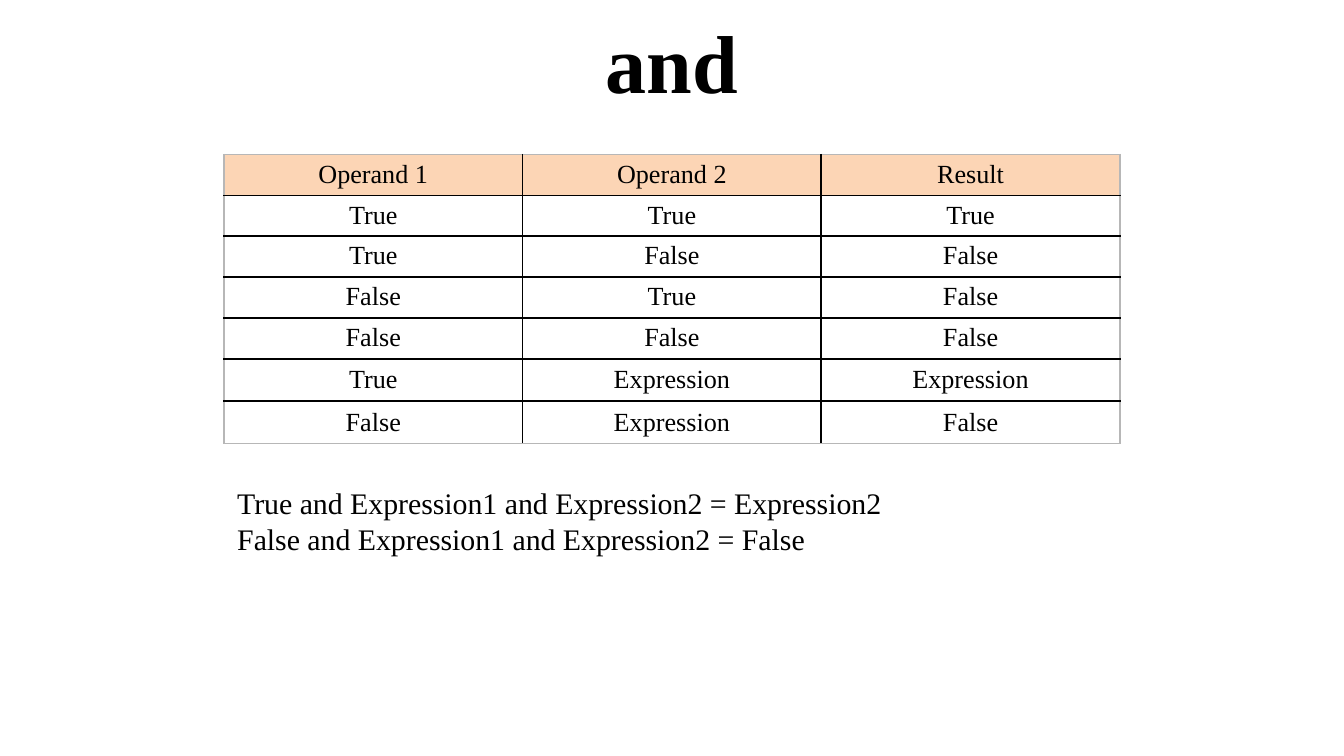
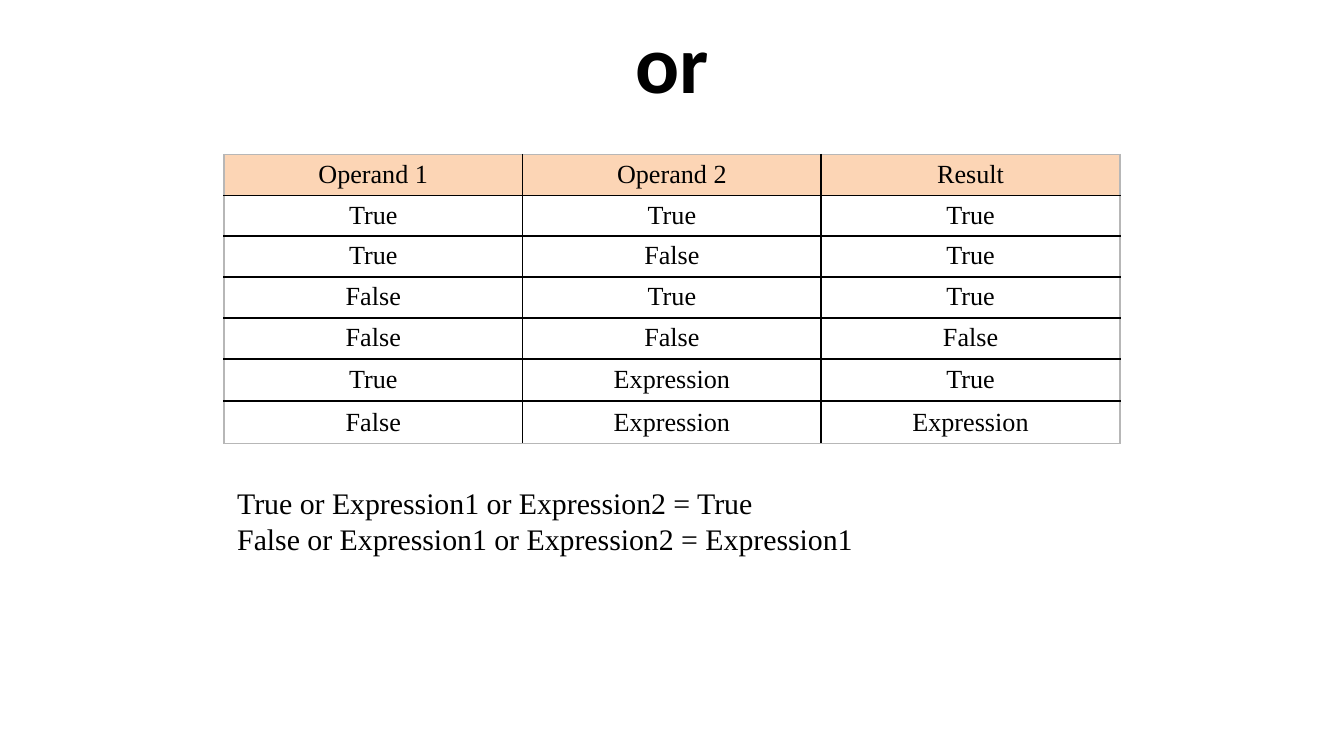
from dataclasses import dataclass

from lxml import etree
from pptx import Presentation
from pptx.dml.color import RGBColor
from pptx.enum.text import MSO_ANCHOR, MSO_AUTO_SIZE, PP_ALIGN
from pptx.oxml.ns import qn
from pptx.util import Inches, Pt

CENTER, LEFT = PP_ALIGN.CENTER, PP_ALIGN.LEFT
MIDDLE = MSO_ANCHOR.MIDDLE
GROW = MSO_AUTO_SIZE.SHAPE_TO_FIT_TEXT
TITLE_ONLY = 5


@dataclass(frozen=True)
class Theme:
    ink: str = "000000"
    frame: str = "B7B7B7"
    header: str = "FCD5B5"
    serif: str = "Times New Roman"
    sans: str = "Calibri"
    title_size: int = 44
    cell_size: int = 14
    rule_size: int = 16
    border: int = 1


@dataclass(frozen=True)
class Box:
    left: float
    top: float
    width: float
    height: float

    def emu(self):
        return [Inches(length) for length in (self.left, self.top, self.width, self.height)]


THEME = Theme()
WIDTH = 10
HEIGHT = WIDTH * 9 / 16
TITLE_BOX = Box(0.05 * WIDTH, -0.02, 0.9 * WIDTH, 0.94)
TABLE_BOX = Box(WIDTH / 6, 1.15, WIDTH * 2 / 3, 2.13)
RULES_BOX = Box(WIDTH / 6, 3.56, 5.58, 0.64)
TIGHT_MARGIN = 0.04
TIGHT_ROWS = 5

HEADINGS = ("Operand 1", "Operand 2", "Result")
OPERANDS = (
    ("True", "True"),
    ("True", "False"),
    ("False", "True"),
    ("False", "False"),
    ("True", "Expression"),
    ("False", "Expression"),
)
OPERATORS = (
    ("and", THEME.serif,
     ("True", "False", "False", "False", "Expression", "False"),
     ("True and Expression1 and Expression2 = Expression2",
      "False and Expression1 and Expression2 = False")),
    ("or", THEME.sans,
     ("True", "True", "True", "False", "True", "Expression"),
     ("True or Expression1 or Expression2 = True",
      "False or Expression1 or Expression2 = Expression1")),
)


def write(para, text, *, size, font=THEME.serif, bold=False, align=CENTER):
    para.alignment = align
    span = para.add_run()
    span.text = text
    span.font.name = font
    span.font.size = Pt(size)
    span.font.bold = bold
    span.font.color.rgb = RGBColor.from_string(THEME.ink)


def draw_borders(cell, outer_sides):
    """Rule the cell in ink, and in the frame colour on the table's outer sides."""
    properties = cell._tc.get_or_add_tcPr()
    for side in "LRTB":
        line = etree.SubElement(properties, qn(f"a:ln{side}"), w=str(Pt(THEME.border)))
        fill = etree.SubElement(line, qn("a:solidFill"))
        color = THEME.frame if side in outer_sides else THEME.ink
        etree.SubElement(fill, qn("a:srgbClr"), val=color)


def add_title(page, box, text, font):
    title = page.shapes.title
    title.left, title.top, title.width, title.height = box.emu()
    title.text_frame.vertical_anchor = MIDDLE
    write(title.text_frame.paragraphs[0], text,
          size=THEME.title_size, font=font, bold=True)


def add_truth_table(page, box, results):
    rows = [HEADINGS] + [(*pair, result) for pair, result in zip(OPERANDS, results)]
    table = page.shapes.add_table(len(rows), len(HEADINGS), *box.emu()).table
    table.first_row = table.horz_banding = False
    row_sides = {0: "T", len(rows) - 1: "B"}
    column_sides = {0: "L", len(HEADINGS) - 1: "R"}
    for row, texts in enumerate(rows):
        for column, text in enumerate(texts):
            cell = table.cell(row, column)
            draw_borders(cell, row_sides.get(row, "") + column_sides.get(column, ""))
            if row == 0:
                cell.fill.solid()
                cell.fill.fore_color.rgb = RGBColor.from_string(THEME.header)
            else:
                cell.fill.background()
            if row < TIGHT_ROWS:
                cell.margin_top = cell.margin_bottom = Inches(TIGHT_MARGIN)
            write(cell.text_frame.paragraphs[0], text, size=THEME.cell_size)


def add_rules(page, box, rules):
    """Place the chained expressions, one per paragraph."""
    frame = page.shapes.add_textbox(*box.emu()).text_frame
    frame.word_wrap = True
    frame.auto_size = GROW
    for number, rule in enumerate(rules):
        para = frame.add_paragraph() if number else frame.paragraphs[0]
        write(para, rule, size=THEME.rule_size, align=LEFT)


def add_operator_page(deck, operator, title_font, results, rules):
    page = deck.slides.add_slide(deck.slide_layouts[TITLE_ONLY])
    add_title(page, TITLE_BOX, operator, title_font)
    add_truth_table(page, TABLE_BOX, results)
    add_rules(page, RULES_BOX, rules)


def main():
    deck = Presentation()
    deck.slide_width, deck.slide_height = Inches(WIDTH), Inches(HEIGHT)
    for operator in OPERATORS:
        add_operator_page(deck, *operator)
    deck.save("out.pptx")


if __name__ == "__main__":
    main()
